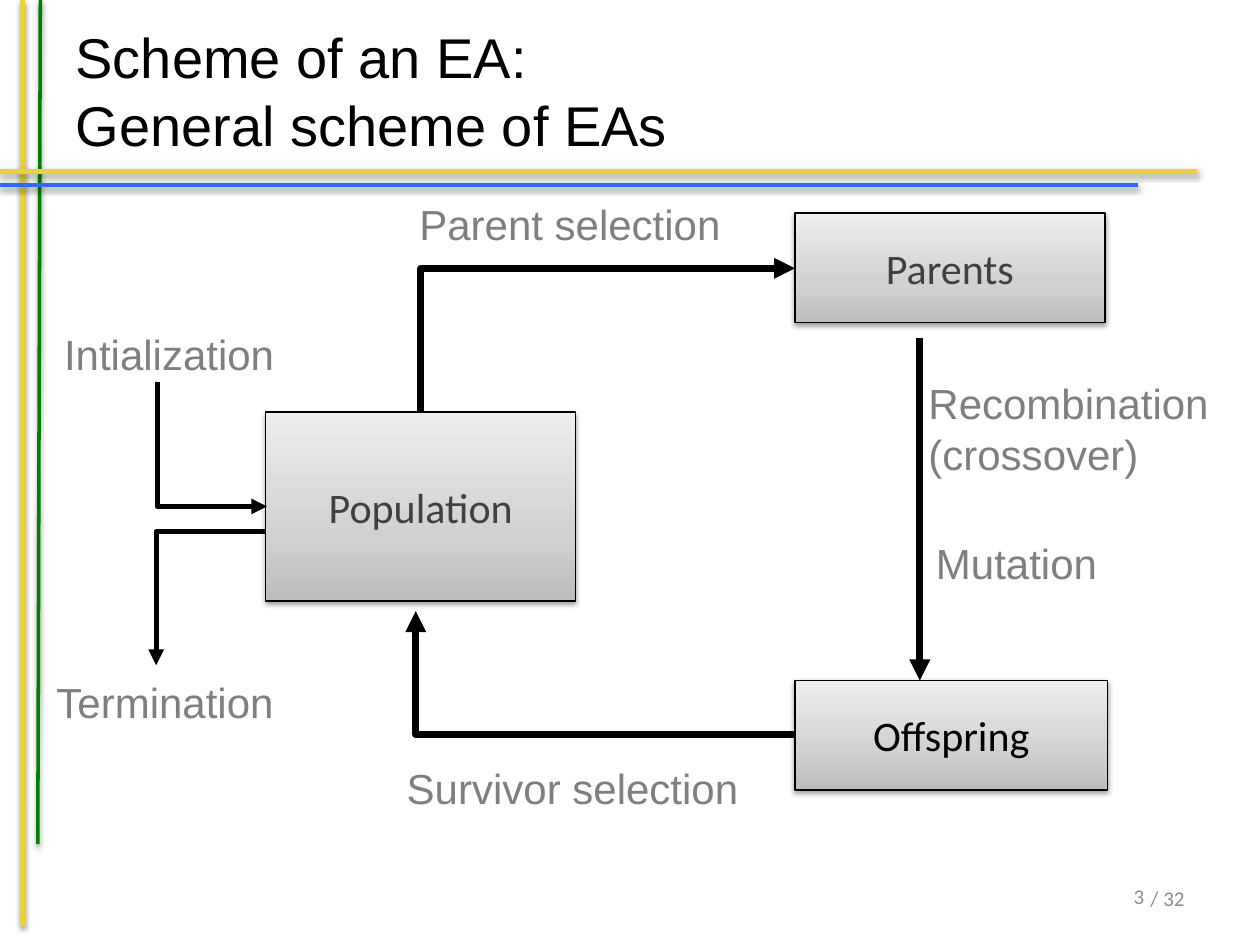
from copy import deepcopy
from lxml import etree
from pptx import Presentation
from pptx.dml.color import RGBColor
from pptx.enum.shapes import MSO_CONNECTOR, MSO_SHAPE
from pptx.enum.text import MSO_ANCHOR, PP_ALIGN
from pptx.oxml import parse_xml
from pptx.oxml.ns import qn
from pptx.util import Inches, Pt

LINE, ELBOW = MSO_CONNECTOR.STRAIGHT, MSO_CONNECTOR.ELBOW
RECT = MSO_SHAPE.RECTANGLE
LEFT, MID, RIGHT = PP_ALIGN.LEFT, PP_ALIGN.CENTER, PP_ALIGN.RIGHT
TOP, CENTER = MSO_ANCHOR.TOP, MSO_ANCHOR.MIDDLE
HEX = {
    "gold": "E8D241", "green": "008000", "blue": "3366FF",
    "black": "000000", "dark": "404040", "gray": "7F7F7F", "pale": "8C8C8C",
    "low": "BDBDBD", "mid": "D1D1D1", "high": "EEEEEE",
}
RGB = {name: RGBColor.from_string(code) for name, code in HEX.items()}
SHADE = (
    '<a:outerShdw xmlns:a="http://schemas.openxmlformats.org/drawingml/2006/main" '
    'blurRad="40000" dist="20000" dir="5400000" rotWithShape="0">'
    '<a:srgbClr val="000000"><a:alpha val="38000"/></a:srgbClr></a:outerShdw>'
)


def write(shape, text, size=24, font="Arial", color="gray", align=LEFT,
          anchor=TOP, wrap=False):
    frame = shape.text_frame
    frame.text = text
    frame.word_wrap = wrap
    frame.vertical_anchor = anchor
    for para in frame.paragraphs:
        para.alignment = align
        for run in para.runs:
            run.font.size = Pt(size)
            run.font.name = font
            run.font.color.rgb = RGB[color]


def draw(kind, ends, color, width, tip=None):
    link = slide.shapes.add_connector(kind, *map(Inches, ends))
    link.line.color.rgb = RGB[color]
    link.line.width = Pt(width)
    if tip:
        etree.SubElement(link.line._get_or_add_ln(), qn(f"a:{tip}"), type="triangle")
    props = link._element.spPr
    if kind == ELBOW:
        props.find(qn("a:prstGeom")).set("prst", "bentConnector2")
    return etree.SubElement(props, qn("a:effectLst"))


deck = Presentation()
deck.slide_width, deck.slide_height = Inches(10), Inches(7.5)
slide = deck.slides.add_slide(deck.slide_layouts[5])

rules = [
    ((0.18, 0, 0.18, 7.35), "gold", 3),
    ((0.32, 0, 0.3, 6.7), "green", 2),
    ((0, 1.36, 9.5, 1.36), "gold", 3),
    ((0, 1.47, 9.03, 1.47), "blue", 2),
]
for ends, color, width in rules:
    draw(LINE, ends, color, width).append(parse_xml(SHADE))

title = slide.shapes.title
title.left, title.top = Inches(0.5), Inches(0.09)
title.width, title.height = Inches(9), Inches(1.25)
write(title, "Scheme of an EA:\vGeneral scheme of EAs", size=32, color="black",
      anchor=CENTER, wrap=True)

boxes = [
    ("Population", (2.11, 3.27, 2.46, 1.5), "dark"),
    ("Parents", (6.31, 1.69, 2.46, 0.87), "dark"),
    ("Offspring", (6.31, 5.4, 2.48, 0.87), "black"),
]
for text, area, color in boxes:
    box = slide.shapes.add_shape(RECT, *map(Inches, area))
    box.fill.gradient()
    box.fill.gradient_angle = 90
    stops = box.fill._fill._gradFill.gsLst
    stops.append(deepcopy(stops[-1]))
    for stop, spot, tone in zip(box.fill.gradient_stops, (0, 0.35, 1), ("low", "mid", "high")):
        stop.position = spot
        stop.color.rgb = RGB[tone]
    box.line.color.rgb = RGB["black"]
    box.line.width = Pt(0.75)
    box.shadow.inherit = False
    box._element.spPr.find(qn("a:effectLst")).append(parse_xml(SHADE))
    write(box, text, font="Calibri", color=color, align=MID, anchor=CENTER)

arrows = [
    (ELBOW, (6.31, 2.13, 3.34, 3.27), 4, "headEnd"),
    (ELBOW, (6.31, 5.83, 3.3, 4.85), 4, "tailEnd"),
    (ELBOW, (2.12, 4.02, 1.25, 3.03), 3, "headEnd"),
    (ELBOW, (2.11, 4.22, 1.24, 5.28), 3, "tailEnd"),
    (LINE, (7.3, 2.68, 7.3, 5.4), 4, "tailEnd"),
]
for kind, ends, width, tip in arrows:
    draw(kind, ends, "black", width, tip)

page = {"size": 12, "font": "Calibri", "color": "pale", "align": RIGHT}
labels = [
    ("Parent selection", (3.23, 1.53, 2.61, 0.5), {}),
    ("Survivor selection", (3.13, 6, 2.86, 0.5), {}),
    ("Recombination\n(crossover)", (7.27, 2.95, 2.45, 0.91), {}),
    ("Mutation", (7.33, 4.22, 1.49, 0.5), {}),
    ("Intialization", (0.41, 2.56, 1.89, 0.5), {}),
    ("Termination", (0.35, 5.32, 1.94, 0.5), {}),
    ("/ 32", (9.02, 6.98, 0.48, 0.3), page),
    ("3", (8.15, 6.84, 1.03, 0.55), {**page, "anchor": CENTER, "wrap": True}),
]
for text, area, style in labels:
    write(slide.shapes.add_textbox(*map(Inches, area)), text, **style)

deck.save("out.pptx")
